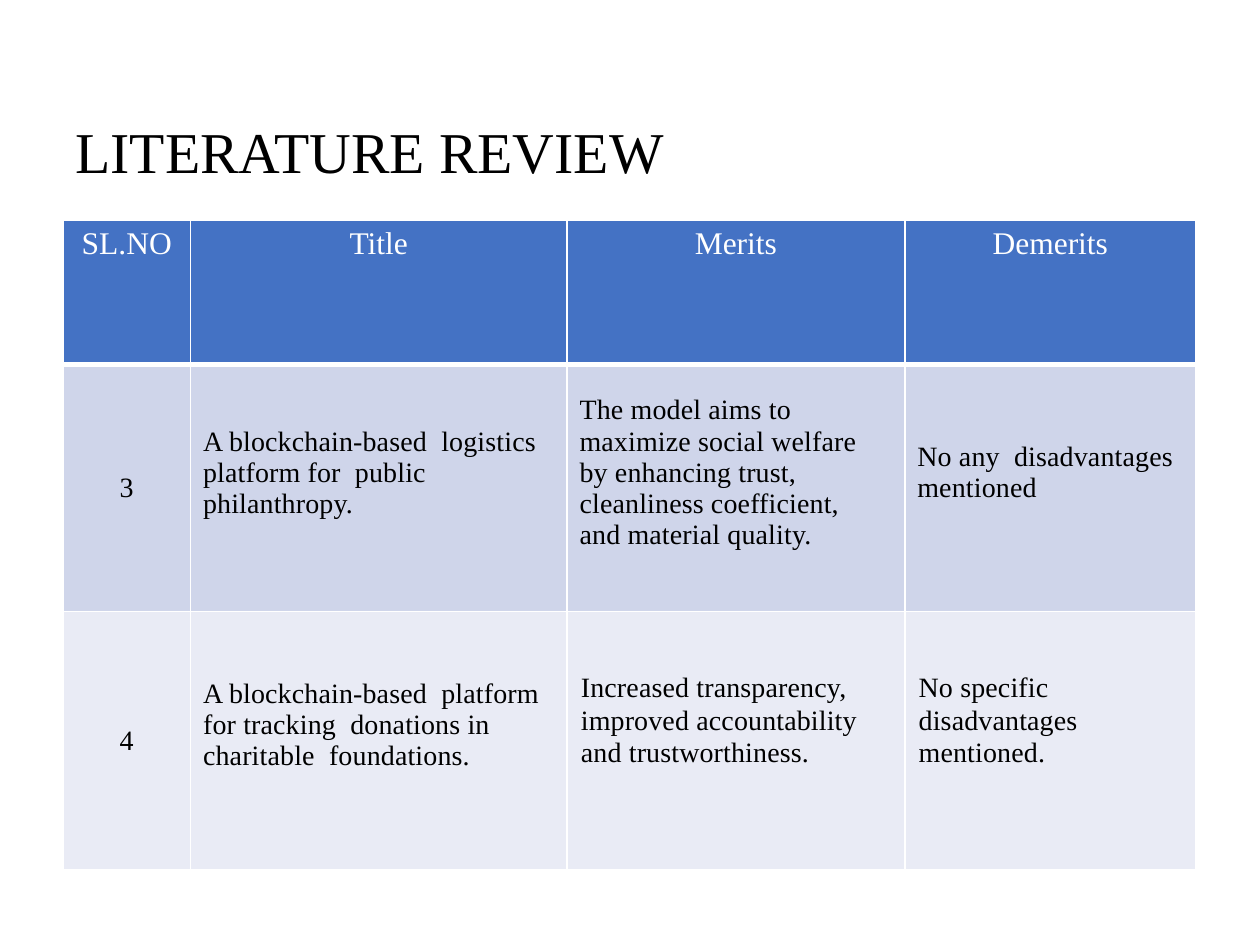
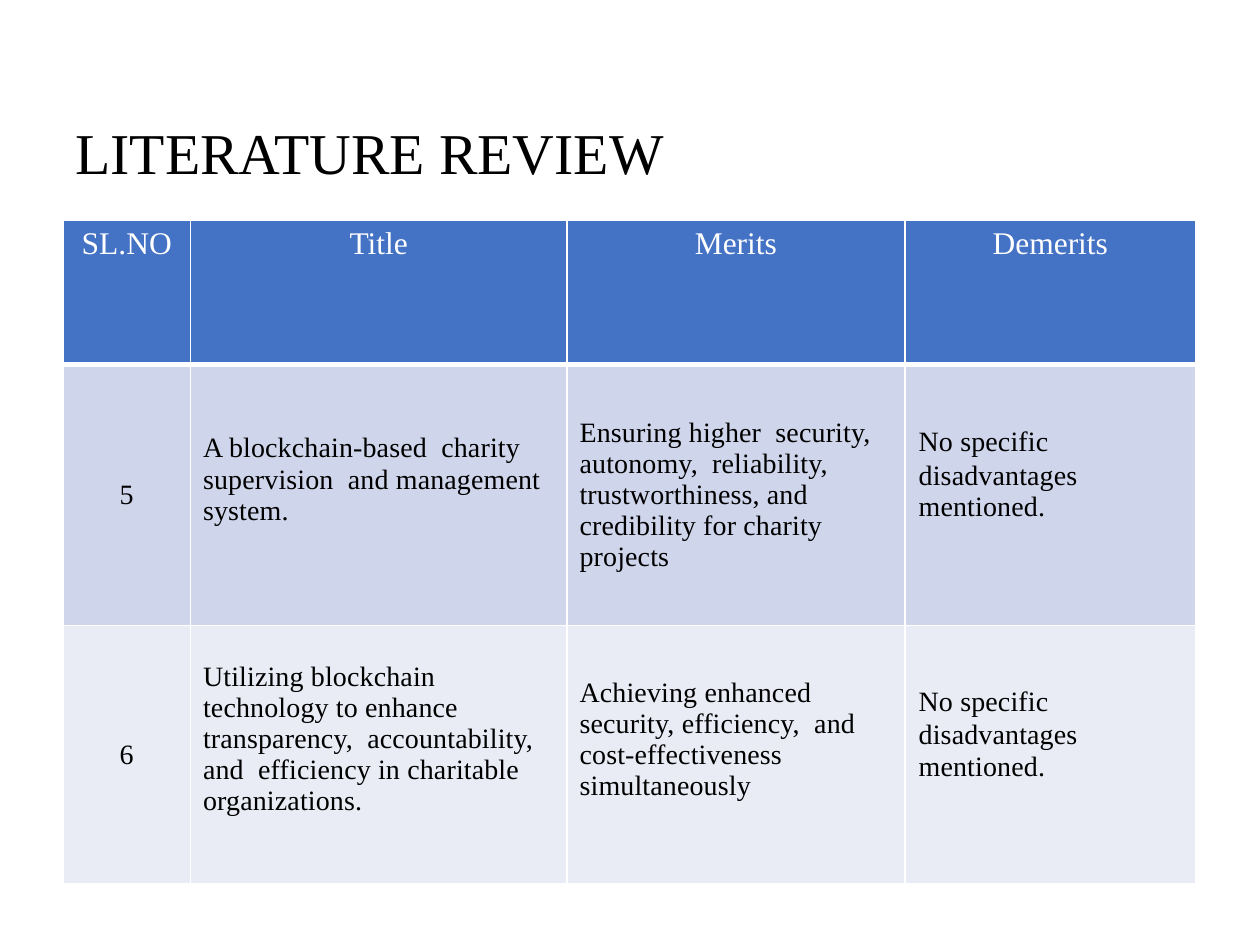
from lxml import etree
from pptx import Presentation
from pptx.dml.color import RGBColor
from pptx.enum import text
from pptx.oxml import ns
from pptx.util import Cm, Pt

FONT = "Times New Roman"
BLACK = RGBColor(0x00, 0x00, 0x00)
WHITE = RGBColor(0xFF, 0xFF, 0xFF)
HEADER_BLUE = RGBColor(0x44, 0x72, 0xC4)
BANDS = [RGBColor(0xCF, 0xD5, 0xEA), RGBColor(0xE9, 0xEB, 0xF5)]

HEADERS = ["SL.NO", "Title", "Merits", "Demerits"]
COL_WIDTHS = [2.57, 7.59, 6.81, 5.87]
NO_DEMERITS = "No specific\ndisadvantages  mentioned."

# Each slide: title box, row heights and the reviewed papers
REVIEWS = [
    ((1.27, 1.8, 22.86, 2.64), [2.92, 4.98, 5.21], [
        ["3",
         "A blockchain-based  logistics platform for  public philanthropy.",
         "The model aims to  maximize social welfare  by enhancing trust,  "
         "cleanliness coefficient,  and material quality.",
         "No any  disadvantages  mentioned"],
        ["4",
         "A blockchain-based  platform for tracking  donations in charitable  foundations.",
         "Increased transparency,\nimproved accountability  and trustworthiness.",
         NO_DEMERITS],
    ]),
    ((1.27, 2.13, 16.84, 2.01), [2.92, 5.26, 5.21], [
        ["5",
         "A blockchain-based  charity supervision  and management  system.",
         "Ensuring higher  security, autonomy,  reliability,  trustworthiness, and  "
         "credibility for charity  projects",
         NO_DEMERITS],
        ["6",
         "Utilizing blockchain  technology to enhance  transparency,  accountability, "
         "and  efficiency in charitable  organizations.",
         "Achieving enhanced  security, efficiency,  and cost-effectiveness  simultaneously",
         NO_DEMERITS],
    ]),
]


def format_run(r, size, color, spacing=0):
    """Style a run; spacing is in hundredths of a point."""
    r.font.name = FONT
    r.font.size = Pt(size)
    r.font.color.rgb = color
    if spacing:
        r._r.get_or_add_rPr().set("spc", str(spacing))


def set_borders(cell, bottom):
    """Draw white borders, 1 pt except for the bottom one."""
    tcPr = cell._tc.get_or_add_tcPr()
    for i, (side, width) in enumerate([("L", 1), ("R", 1), ("T", 1), ("B", bottom)]):
        ln = etree.Element(ns.qn(f"a:ln{side}"), w=str(Pt(width)))
        fill = etree.SubElement(ln, ns.qn("a:solidFill"))
        etree.SubElement(fill, ns.qn("a:srgbClr"), val=str(WHITE))
        tcPr.insert(i, ln)


prs = Presentation()
prs.slide_width, prs.slide_height = Cm(25.4), Cm(19.05)

for title_box, row_heights, papers in REVIEWS:
    s = prs.slides.add_slide(prs.slide_layouts[5])

    title = s.shapes.title
    title.left, title.top, title.width, title.height = map(Cm, title_box)
    tf = title.text_frame
    tf.text = "LITERATURE REVIEW"
    tf.vertical_anchor = text.MSO_ANCHOR.MIDDLE
    p = tf.paragraphs[0]
    p.alignment = text.PP_ALIGN.LEFT
    p.line_spacing = 0.9
    format_run(p.runs[0], 33, BLACK)

    table = s.shapes.add_table(len(row_heights), len(COL_WIDTHS), Cm(1.27), Cm(4.43),
                               Cm(sum(COL_WIDTHS)), Cm(sum(row_heights))).table
    for column, width in zip(table.columns, COL_WIDTHS):
        column.width = Cm(width)
    for row, height in zip(table.rows, row_heights):
        row.height = Cm(height)

    for i, values in enumerate([HEADERS] + papers):
        is_header = i == 0
        for j, value in enumerate(values):
            cell = table.cell(i, j)
            cell.fill.solid()
            cell.fill.fore_color.rgb = HEADER_BLUE if is_header else BANDS[i - 1]
            set_borders(cell, 3 if is_header else 1)
            tf = cell.text_frame
            tf.text = value
            if not is_header:
                cell.vertical_anchor = text.MSO_ANCHOR.MIDDLE
                # Descriptions sit a little above the middle of the row
                if j > 0 and not value.startswith("Ensuring"):
                    cell.margin_bottom = Cm(0.75)
            for k, p in enumerate(tf.paragraphs):
                if is_header or j == 0:
                    p.alignment = text.PP_ALIGN.CENTER
                if len(tf.paragraphs) > 1:
                    cell.margin_left = Cm(0.28)
                    p.line_spacing = Pt(17.9 if k else 11.9)
                    p.space_before = Pt(1.4 if k else 0)
                for r in p.runs:
                    if is_header:
                        format_run(r, 18, WHITE)
                    else:
                        format_run(r, 16, BLACK, 10 if j else 0)

prs.save("out.pptx")
